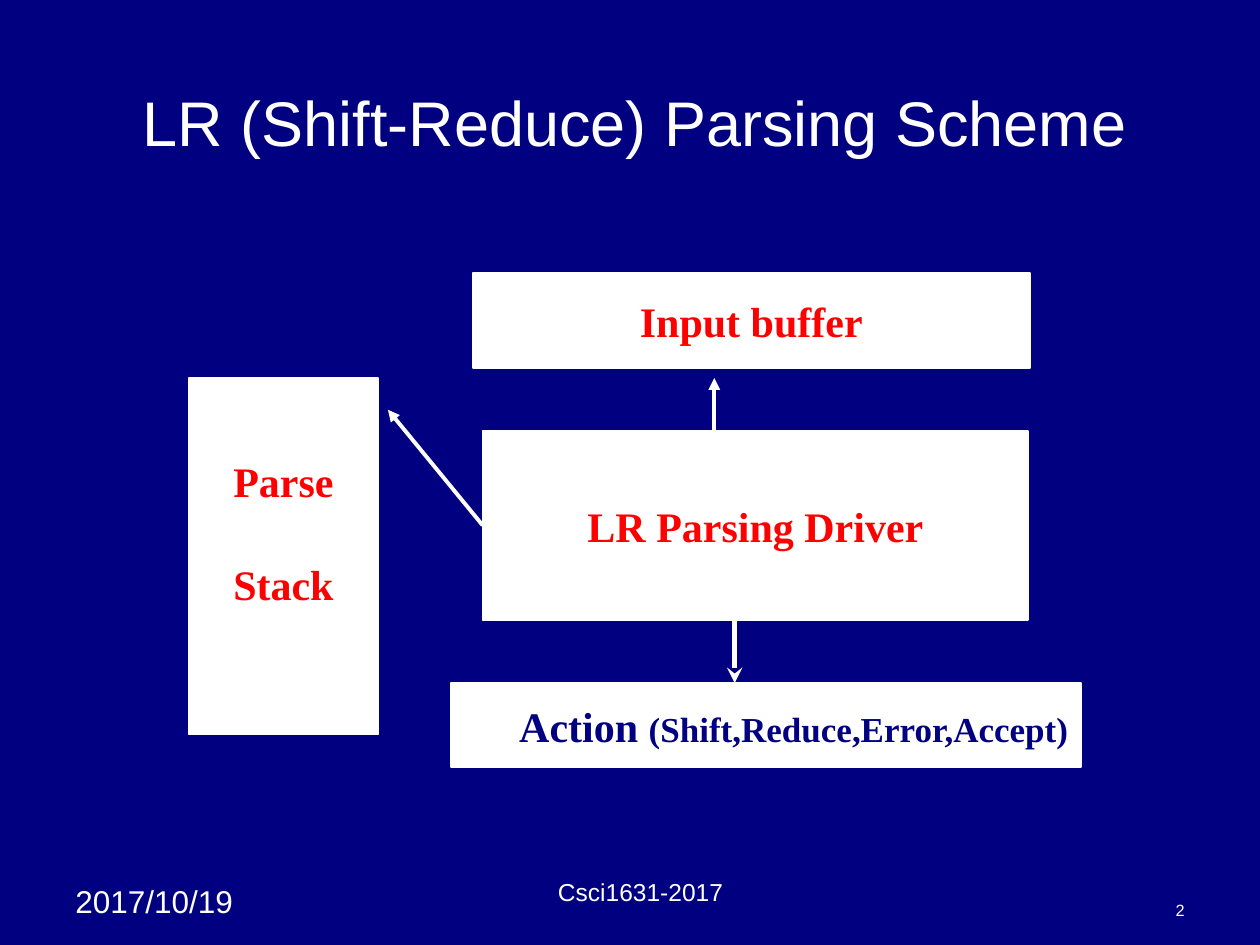
from lxml.etree import SubElement
from pptx import Presentation
from pptx.dml.color import RGBColor
from pptx.enum.shapes import MSO_CONNECTOR as Connector, MSO_SHAPE as Shape
from pptx.enum.text import MSO_ANCHOR as Anchor, PP_ALIGN as Align
from pptx.oxml.ns import qn
from pptx.util import Cm, Pt

COLORS = {"navy": "000080", "white": "FFFFFF", "red": "FF0000"}


def color(name):
    return RGBColor.from_string(COLORS[name])


def write(frame, paragraphs, font="Arial", ink="white", bold=False,
          align=Align.CENTER, anchor=Anchor.MIDDLE, gap=0):
    """Fill a text frame; each paragraph is a list of (text, size) runs."""
    frame.vertical_anchor = anchor
    for index, runs in enumerate(paragraphs):
        paragraph = frame.add_paragraph() if index else frame.paragraphs[0]
        paragraph.alignment = align
        if index:
            paragraph.space_before = Pt(gap)
        for text, size in runs:
            run = paragraph.add_run()
            run.text = text
            run.font.name, run.font.size, run.font.bold = font, Pt(size), bold
            run.font.color.rgb = color(ink)


class Diagram:
    """Holds the current slide and the look shared by its elements."""

    box_font = "Times New Roman"

    def __init__(self, slide):
        self.slide = slide
        slide.background.fill.solid()
        slide.background.fill.fore_color.rgb = color("navy")

    def label(self, bounds, text, size, **style):
        text_box = self.slide.shapes.add_textbox(*map(Cm, bounds))
        text_box.text_frame.word_wrap = True
        write(text_box.text_frame, [[(text, size)]], **style)

    def box(self, bounds, paragraphs, ink="red", **style):
        shape = self.slide.shapes.add_shape(Shape.RECTANGLE, *map(Cm, bounds))
        shape.shadow.inherit = False
        shape.fill.solid()
        shape.fill.fore_color.rgb = color("white")
        shape.line.color.rgb = color("white")
        shape.line.width = Pt(1)
        shape.text_frame.word_wrap = False
        write(shape.text_frame, paragraphs, font=self.box_font, ink=ink, bold=True, **style)
        return shape

    def arrow(self, start, end, width=2.25, head="triangle"):
        connector = self.slide.shapes.add_connector(
            Connector.STRAIGHT, *map(Cm, start + end))
        connector.line.color.rgb = color("white")
        connector.line.width = Pt(width)
        SubElement(connector.line._get_or_add_ln(), qn("a:tailEnd"), type=head)
        SubElement(connector._element.spPr, qn("a:effectLst"))


def main():
    presentation = Presentation()
    presentation.slide_width, presentation.slide_height = Cm(25.4), Cm(19.05)
    diagram = Diagram(presentation.slides.add_slide(presentation.slide_layouts[6]))

    diagram.label((1.27, 17.65, 4.01, 1.02), "2017/10/19", 18,
                  align=Align.LEFT, anchor=Anchor.TOP)
    diagram.label((8.89, 17.7, 8.05, 0.69), "Csci1631-2017", 14, anchor=Anchor.BOTTOM)
    diagram.label((18.21, 17.98, 5.92, 0.69), "2", 9.3,
                  align=Align.RIGHT, anchor=Anchor.BOTTOM)
    diagram.label((1.47, 1.27, 22.66, 2.34), "LR (Shift-Reduce) Parsing Scheme", 36)

    stack = diagram.box((3.81, 7.62, 3.81, 7.19),
                        [[("Parse", 24)], [("Stack", 24)]], gap=30)
    stack.text_frame.margin_bottom = Cm(1.1)
    diagram.box((9.53, 5.51, 11.23, 1.91), [[("Input buffer", 24)]])
    diagram.box((9.73, 8.69, 11, 3.81), [[("LR Parsing Driver", 24)]])
    diagram.box((9.09, 13.77, 12.7, 1.7),
                [[("Action ", 24), ("(Shift,Reduce,Error,Accept)", 20)]],
                ink="navy", align=Align.RIGHT)

    diagram.arrow((9.73, 10.59), (7.82, 8.26))
    diagram.arrow((14.4, 8.69), (14.4, 7.62))
    diagram.arrow((14.81, 12.5), (14.81, 13.77), width=3, head="stealth")

    presentation.save("out.pptx")


if __name__ == "__main__":
    main()
